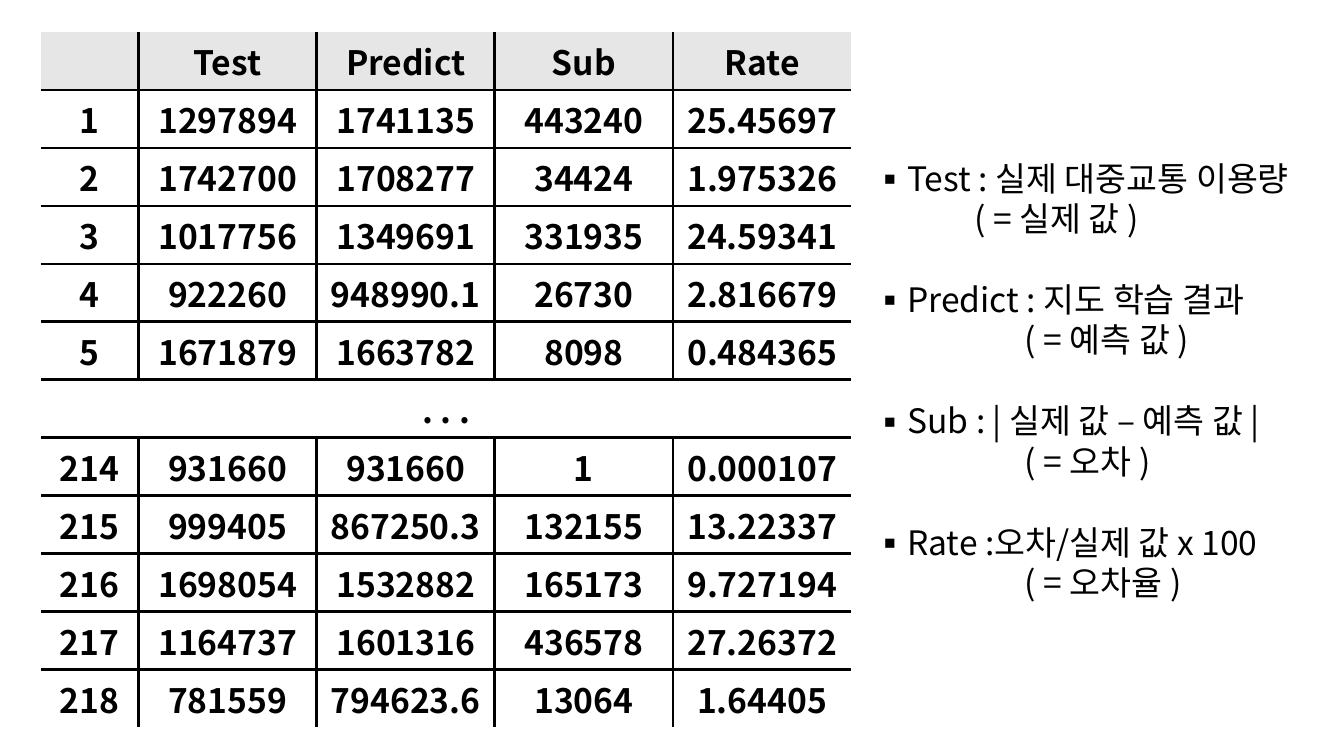
from lxml.etree import SubElement
from pptx import Presentation
from pptx.dml.color import RGBColor
from pptx.enum.text import MSO_ANCHOR, PP_ALIGN
from pptx.oxml.ns import qn
from pptx.util import Cm, Pt

FONT = "Noto Sans CJK KR"
BLACK = "000000"
HEADER_GREY = "E7E6E6"
GAP_ROW = [". . ."]

ROWS = [
    ["", "Test", "Predict", "Sub", "Rate"],
    ["1", "1297894", "1741135", "443240", "25.45697"],
    ["2", "1742700", "1708277", "34424", "1.975326"],
    ["3", "1017756", "1349691", "331935", "24.59341"],
    ["4", "922260", "948990.1", "26730", "2.816679"],
    ["5", "1671879", "1663782", "8098", "0.484365"],
    GAP_ROW,
    ["214", "931660", "931660", "1", "0.000107"],
    ["215", "999405", "867250.3", "132155", "13.22337"],
    ["216", "1698054", "1532882", "165173", "9.727194"],
    ["217", "1164737", "1601316", "436578", "27.26372"],
    ["218", "781559", "794623.6", "13064", "1.64405"],
]
COL_WIDTHS = [2.46, 4.49, 4.49, 4.49, 4.49]
ROW_HEIGHT = 1.46

# Term, explanation, indent of the explanation in cm
TERMS = [
    ("Test : 실제 대중교통 이용량", "( = 실제 값 )", 2.54),
    ("Predict : 지도 학습 결과", "( = 예측 값 )", 3.81),
    ("Sub : | 실제 값 – 예측 값 |", "( = 오차 )", 3.81),
    ("Rate :오차/실제 값 x 100", "( = 오차율 )", 3.81),
]


def rgb(color):
    return RGBColor.from_string(color)


def add_text(p, text, size=24, bold=False, color=BLACK, align=PP_ALIGN.LEFT):
    p.alignment = align
    r = p.add_run()
    r.text = text
    r.font.size = Pt(size)
    r.font.bold = bold
    r.font.name = FONT
    r.font.color.rgb = rgb(color)
    SubElement(r.font._element, qn("a:ea"), typeface=FONT)


def set_borders(cell, visible, color=BLACK, width=2.25):
    tcPr = cell._tc.get_or_add_tcPr()
    for side in "LRTB":
        ln = SubElement(tcPr, qn(f"a:ln{side}"), w=str(Pt(width)))
        if side in visible:
            fill = SubElement(ln, qn("a:solidFill"))
            SubElement(fill, qn("a:srgbClr"), val=color)
        else:
            SubElement(ln, qn("a:noFill"))


def inner_sides(row, col):
    """Sides of a cell that lie inside the table."""
    sides = ""
    if row > 0:
        sides += "T"
    if row < len(ROWS) - 1:
        sides += "B"
    if ROWS[row] is not GAP_ROW:
        if col > 0:
            sides += "L"
        if col < len(COL_WIDTHS) - 1:
            sides += "R"
    return sides


def add_results_table(s):
    frame = s.shapes.add_table(len(ROWS), len(COL_WIDTHS), Cm(1.03), Cm(0.81),
                               Cm(sum(COL_WIDTHS)), Cm(ROW_HEIGHT * len(ROWS)))
    table = frame.table
    for column, width in zip(table.columns, COL_WIDTHS):
        column.width = Cm(width)
    for i, values in enumerate(ROWS):
        table.rows[i].height = Cm(ROW_HEIGHT)
        for j in range(len(COL_WIDTHS)):
            cell = table.cell(i, j)
            set_borders(cell, inner_sides(i, j))
            if i == 0:
                cell.fill.solid()
                cell.fill.fore_color.rgb = rgb(HEADER_GREY)
            else:
                cell.fill.background()
            cell.vertical_anchor = MSO_ANCHOR.MIDDLE
            cell.margin_top = cell.margin_bottom = Cm(0.1)
        for j, value in enumerate(values):
            if value:
                add_text(table.cell(i, j).text_frame.paragraphs[0], value,
                         bold=True, align=PP_ALIGN.CENTER)
        if values is GAP_ROW:
            table.cell(i, 0).merge(table.cell(i, len(COL_WIDTHS) - 1))


def format_paragraph(p, indent=0, bullet=None, before=0):
    p.line_spacing = Pt(28.9)
    p.space_before = Pt(before)
    pPr = p._p.get_or_add_pPr()
    pPr.set("marL", str(Cm(indent)))
    pPr.set("indent", "0")
    if bullet:
        SubElement(pPr, qn("a:buFont"), typeface=FONT)
        SubElement(pPr, qn("a:buChar"), char=bullet)


def add_terms(s):
    tf = s.shapes.add_textbox(Cm(21.77), Cm(3.84), Cm(12.01), Cm(11.53)).text_frame
    tf.word_wrap = True
    for i, (term, meaning, indent) in enumerate(TERMS):
        p = tf.add_paragraph() if i else tf.paragraphs[0]
        format_paragraph(p, bullet="▪", before=28.9 if i else 0)
        add_text(p, term)
        p = tf.add_paragraph()
        format_paragraph(p, indent=indent)
        add_text(p, meaning)


def main():
    prs = Presentation()
    prs.slide_width, prs.slide_height = Cm(33.87), Cm(19.05)
    s = prs.slides.add_slide(prs.slide_layouts[6])
    # Results on the left, explanation of the columns on the right
    add_results_table(s)
    add_terms(s)
    prs.save("out.pptx")


if __name__ == "__main__":
    main()
